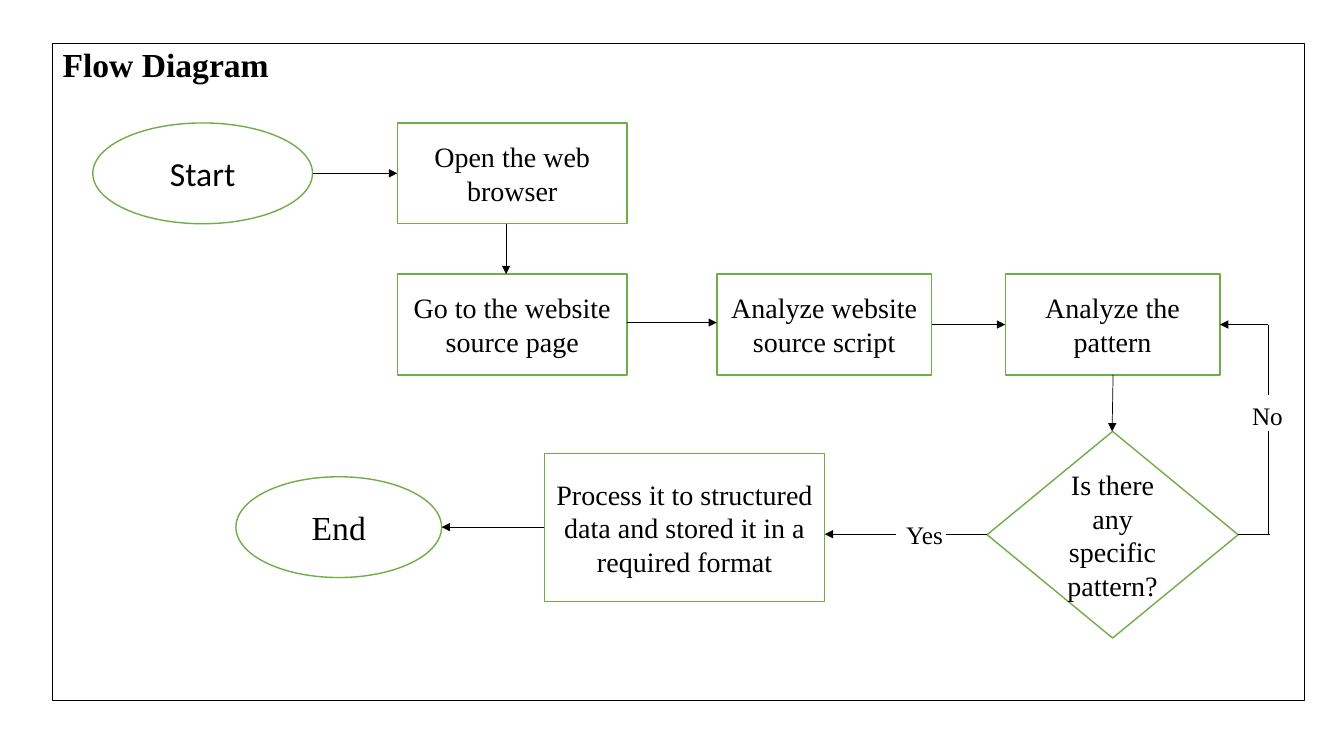
"""Build a slide with a flow diagram of pattern search on a website."""
from typing import NamedTuple

import pptx
import pptx.dml.color
import pptx.enum.shapes
import pptx.enum.text
import pptx.oxml.ns
import pptx.util
from lxml import etree

Inches = pptx.util.Inches
Pt = pptx.util.Pt
RGBColor = pptx.dml.color.RGBColor
Kind = pptx.enum.shapes.MSO_SHAPE
Align = pptx.enum.text.PP_ALIGN
Anchor = pptx.enum.text.MSO_ANCHOR

BLACK = RGBColor(0, 0, 0)
WHITE = RGBColor(255, 255, 255)
GREEN = RGBColor(0x70, 0xAD, 0x47)
SERIF = "Times New Roman"
SANS = "Calibri"


class Step(NamedTuple):
    text: str
    kind: Kind
    left: float
    top: float
    width: float
    height: float = 1
    size: int = 20
    font: str = SERIF


class Link(NamedTuple):
    x1: float
    y1: float
    x2: float
    y2: float
    arrow: bool = True


class Label(NamedTuple):
    text: str
    left: float
    top: float
    width: float


STEPS = [
    Step("Start", Kind.OVAL, 0.92, 1.22, 2.18, size=24, font=SANS),
    Step("Open the web browser", Kind.RECTANGLE, 3.94, 1.22, 2.28),
    Step("Go to the website source page", Kind.RECTANGLE, 3.94, 2.72, 2.28),
    Step("Analyze website source script", Kind.RECTANGLE, 7.11, 2.72, 2.13),
    Step("Analyze the pattern", Kind.RECTANGLE, 9.97, 2.72, 2.13),
    Step("Is there any specific pattern?", Kind.DIAMOND, 9.79, 4.28, 2.49, 2.05),
    Step("Process it to structured data and stored it in a required format",
         Kind.RECTANGLE, 5.4, 4.5, 2.78, 1.47),
    Step("End", Kind.OVAL, 2.34, 4.73, 2.04, size=24),
]
LINKS = [
    Link(3.1, 1.72, 3.94, 1.72),
    Link(5.02, 2.22, 5.02, 2.72),
    Link(6.22, 3.2, 7.11, 3.2),
    Link(9.24, 3.22, 9.97, 3.22),
    Link(11.04, 3.72, 11.03, 4.28),
    Link(9.79, 5.3, 9.38, 5.3, False),
    Link(8.89, 5.3, 8.18, 5.3),
    Link(5.4, 5.23, 4.38, 5.23),
    Link(12.28, 5.3, 12.6, 5.3, False),
    Link(12.58, 5.3, 12.58, 4.28, False),
    Link(12.58, 3.92, 12.58, 3.22, False),
    Link(12.58, 3.22, 12.1, 3.22),
]
LABELS = [Label("Yes", 8.89, 5.1, 0.6), Label("No", 12.32, 3.92, 0.53)]


def write(shape, text: str, size: int, align: Align, anchor: Anchor,
          font: str = SERIF, bold: bool = False):
    frame = shape.text_frame
    frame.word_wrap = True
    frame.vertical_anchor = anchor
    line = frame.paragraphs[0]
    line.alignment = align
    run = line.add_run()
    run.text = text
    run.font.name = font
    run.font.size = Pt(size)
    run.font.bold = bold
    run.font.color.rgb = BLACK
    return line


def paint(shape, edge: RGBColor) -> None:
    shape.fill.solid()
    shape.fill.fore_color.rgb = WHITE
    shape.line.color.rgb = edge
    shape.line.width = Pt(1)


def draw_title(slide) -> None:
    title = slide.shapes.title
    title.left, title.top = Inches(0.52), Inches(0.43)
    title.width, title.height = Inches(12.42), Inches(6.52)
    paint(title, BLACK)
    line = write(title, "Flow Diagram", 24, Align.LEFT, Anchor.TOP, bold=True)
    line.line_spacing = 0.9
    title.text_frame.auto_size = pptx.enum.text.MSO_AUTO_SIZE.NONE


def draw_step(slide, step: Step) -> None:
    shape = slide.shapes.add_shape(
        step.kind, Inches(step.left), Inches(step.top),
        Inches(step.width), Inches(step.height))
    shape.shadow.inherit = False
    paint(shape, GREEN)
    write(shape, step.text, step.size, Align.CENTER, Anchor.MIDDLE, step.font)


def draw_link(slide, link: Link) -> None:
    wire = slide.shapes.add_connector(
        pptx.enum.shapes.MSO_CONNECTOR.STRAIGHT,
        Inches(link.x1), Inches(link.y1), Inches(link.x2), Inches(link.y2))
    wire.line.color.rgb = BLACK
    wire.line.width = Pt(0.5)
    qn = pptx.oxml.ns.qn
    if link.arrow:
        etree.SubElement(wire.line._get_or_add_ln(), qn("a:tailEnd"), type="triangle")
    etree.SubElement(wire._element.spPr, qn("a:effectLst"))


def draw_label(slide, label: Label) -> None:
    box = slide.shapes.add_textbox(
        Inches(label.left), Inches(label.top), Inches(label.width), Inches(0.4))
    write(box, label.text, 18, Align.LEFT, Anchor.TOP)


def main() -> None:
    deck = pptx.Presentation()
    deck.slide_width, deck.slide_height = Inches(13.33), Inches(7.5)
    slide = deck.slides.add_slide(deck.slide_layouts[5])
    draw_title(slide)
    for step in STEPS:
        draw_step(slide, step)
    for link in LINKS:
        draw_link(slide, link)
    for label in LABELS:
        draw_label(slide, label)
    deck.save("out.pptx")


if __name__ == "__main__":
    main()
